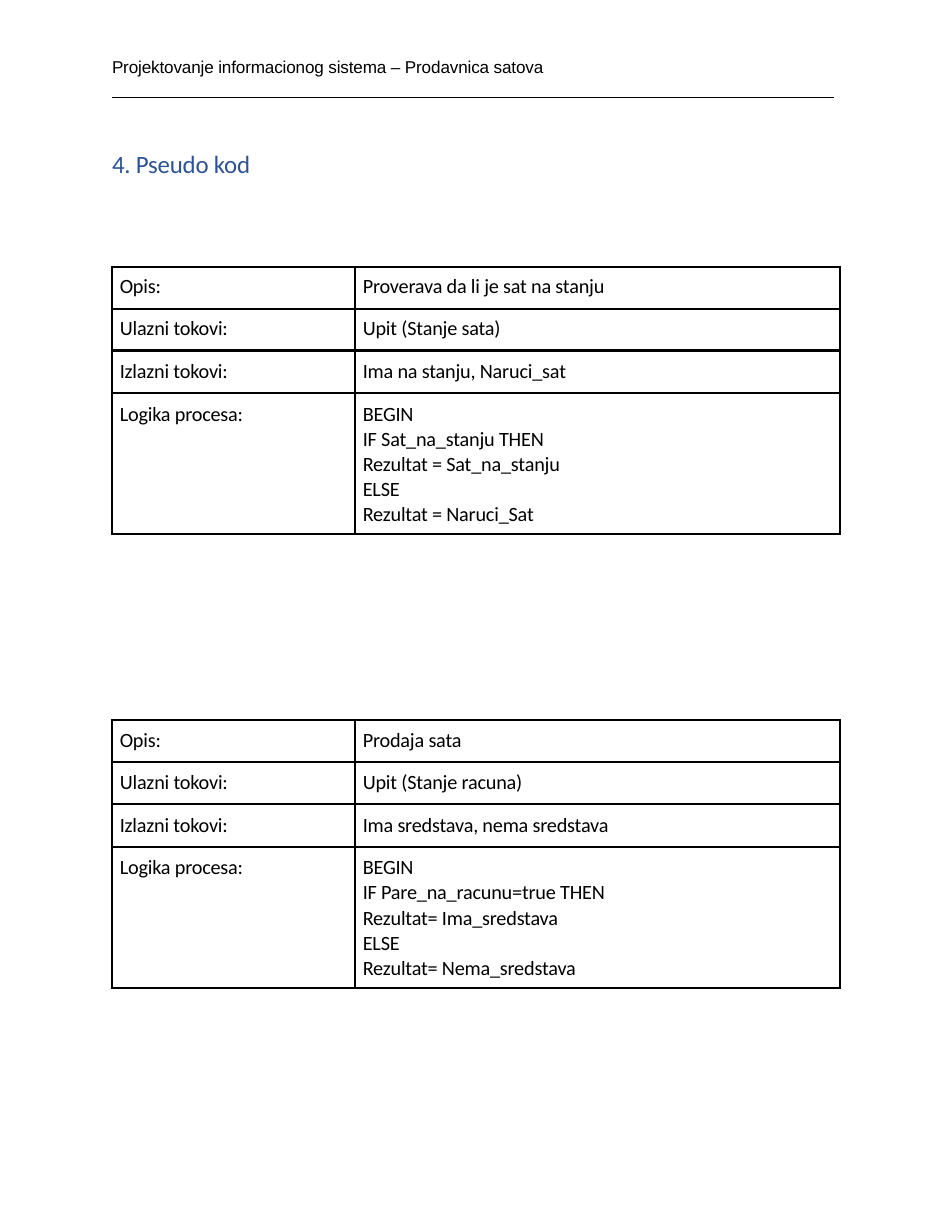
"""Builds a page with two pseudo code tables."""
from lxml.etree import SubElement
from pptx import Presentation
from pptx.dml.color import RGBColor
from pptx.enum.shapes import MSO_CONNECTOR as Connector
from pptx.enum.text import MSO_ANCHOR as Anchor, MSO_AUTO_SIZE as AutoSize, PP_ALIGN as Align
from pptx.oxml import parse_xml
from pptx.oxml.ns import nsdecls, qn
from pptx.util import Inches, Pt

BLACK = "000000"
BLUE = "2E5395"
LABELS = ["Opis:", "Ulazni tokovi:", "Izlazni tokovi:", "Logika procesa:"]
COLUMN_WIDTHS = [2.17, 4.33]
ROW_HEIGHTS = [0.375, 0.375, 0.38, 1.26]
ROW_INSETS = [0.07, 0.07, 0.08, 0.08]


def color(value):
    return RGBColor.from_string(value)


class Page:
    def __init__(self, slide, text_font="Calibri", header_font="Arial"):
        self.slide = slide
        self.text_font = text_font
        self.header_font = header_font

    def format_text(self, text_frame, size, font, text_color=BLACK):
        for paragraph in text_frame.paragraphs:
            paragraph.alignment = Align.LEFT
            paragraph.space_before = Pt(0)
            for run in paragraph.runs:
                run.font.size = Pt(size)
                run.font.name = font
                run.font.color.rgb = color(text_color)
                run._r.get_or_add_rPr().set("spc", "-10")

    def format_frame(self, text_frame):
        text_frame.margin_left = text_frame.margin_right = text_frame.margin_bottom = 0
        text_frame.margin_top = Inches(0.02)
        text_frame.vertical_anchor = Anchor.TOP
        text_frame.auto_size = AutoSize.NONE
        text_frame.word_wrap = False

    def header(self, text, left, top, width, height):
        box = self.slide.shapes.add_textbox(Inches(left), Inches(top), Inches(width), Inches(height))
        box.text_frame.text = text
        self.format_frame(box.text_frame)
        self.format_text(box.text_frame, 11, self.header_font)

    def title(self, text, left, top, width, height):
        title = self.slide.shapes.title
        title.left, title.top = Inches(left), Inches(top)
        title.width, title.height = Inches(width), Inches(height)
        title.text_frame.text = text
        self.format_frame(title.text_frame)
        self.format_text(title.text_frame, 16, self.text_font, BLUE)

    def rule(self, left, right, top):
        line = self.slide.shapes.add_connector(
            Connector.STRAIGHT, Inches(left), Inches(top), Inches(right), Inches(top))
        line.line.color.rgb = color(BLACK)
        line.line.width = Pt(0.69)
        SubElement(line._element.spPr, qn("a:effectLst"))

    def border(self, cell):
        properties = cell._tc.get_or_add_tcPr()
        for position, side in enumerate(["lnL", "lnR", "lnT", "lnB"]):
            properties.insert(position, parse_xml(
                f'<a:{side} {nsdecls("a")} w="{Pt(1.5)}"><a:solidFill>'
                f'<a:srgbClr val="{BLACK}"/></a:solidFill></a:{side}>'))

    def cell(self, cell, text, inset):
        cell.text_frame.text = text
        cell.margin_left, cell.margin_top = Inches(0.07), Inches(inset)
        cell.margin_right = cell.margin_bottom = 0
        cell.vertical_anchor = Anchor.TOP
        cell.fill.background()
        self.border(cell)
        self.format_text(cell.text_frame, 13, self.text_font)
        for paragraph in cell.text_frame.paragraphs[1:]:
            paragraph.line_spacing = 1.02

    def process_table(self, values, left, top):
        table = self.slide.shapes.add_table(
            len(LABELS), len(COLUMN_WIDTHS), Inches(left), Inches(top),
            Inches(sum(COLUMN_WIDTHS)), Inches(sum(ROW_HEIGHTS))).table
        table.first_row = table.horz_banding = False
        for column, width in zip(table.columns, COLUMN_WIDTHS):
            column.width = Inches(width)
        rows = zip(table.rows, ROW_HEIGHTS, ROW_INSETS, LABELS, values)
        for row, height, inset, label, value in rows:
            row.height = Inches(height)
            for cell, text in zip(row.cells, [label, value]):
                self.cell(cell, text, inset)


def main():
    presentation = Presentation()
    presentation.slide_width, presentation.slide_height = Inches(8.5), Inches(11)
    page = Page(presentation.slides.add_slide(presentation.slide_layouts[5]))
    page.header("Projektovanje informacionog sistema – Prodavnica satova", 1, 0.48, 3.95, 0.21)
    page.rule(1, 7.45, 0.87)
    page.title("4. Pseudo kod", 1, 1.31, 1.28, 0.29)
    page.process_table([
        "Proverava da li je sat na stanju",
        "Upit (Stanje sata)",
        "Ima na stanju, Naruci_sat",
        "BEGIN\nIF Sat_na_stanju THEN\nRezultat = Sat_na_stanju\nELSE\nRezultat = Naruci_Sat",
    ], 1, 2.38)
    page.process_table([
        "Prodaja sata",
        "Upit (Stanje racuna)",
        "Ima sredstava, nema sredstava",
        "BEGIN\nIF Pare_na_racunu=true THEN\nRezultat= Ima_sredstava\nELSE\nRezultat= Nema_sredstava",
    ], 1, 6.43)
    presentation.save("out.pptx")


if __name__ == "__main__":
    main()
